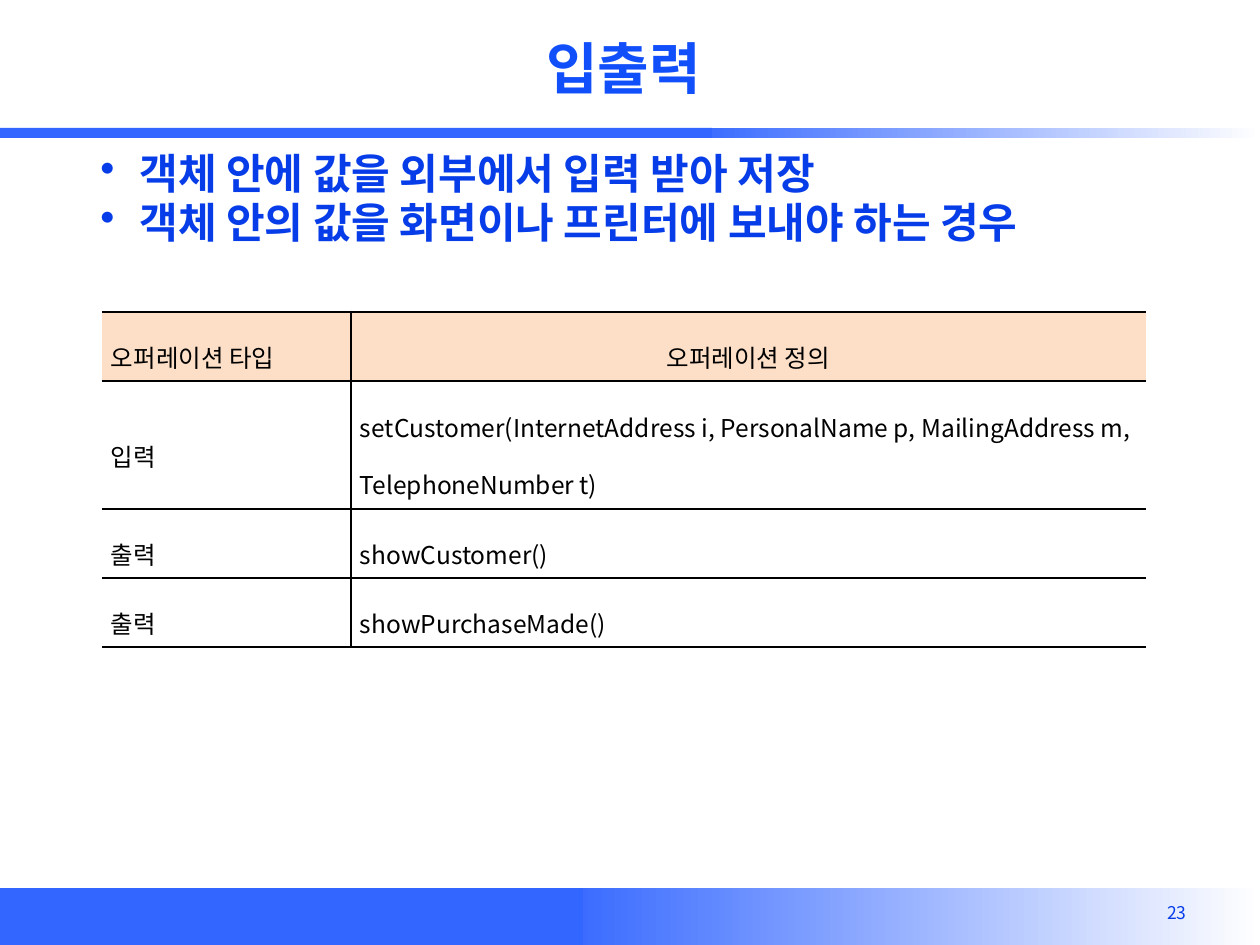
from lxml.etree import SubElement
from pptx import Presentation
from pptx.dml.color import RGBColor
from pptx.enum.shapes import MSO_SHAPE
from pptx.enum.text import MSO_ANCHOR, PP_ALIGN
from pptx.oxml.ns import qn
from pptx.util import Pt

PIXEL = 914400 / 126
FONT = "Noto Sans CJK KR"
BAR_BLUE, TEXT_BLUE = "3366FF", "063DE8"


def px(*lengths):
    """Turn pixel lengths into EMU."""
    return [round(length * PIXEL) for length in lengths]


def write(frame, lines, size, color, bold=False, align=PP_ALIGN.LEFT,
          anchor=MSO_ANCHOR.TOP, spacing=1.0, before=0, bullet=False):
    """Fill a text frame or cell frame with formatted paragraphs."""
    frame.vertical_anchor = anchor
    for index, line in enumerate(lines):
        para = frame.add_paragraph() if index else frame.paragraphs[0]
        para.alignment, para.line_spacing = align, spacing
        para.space_before = Pt(before)
        span = para.add_run()
        span.text = line
        span.font.size, span.font.bold, span.font.name = Pt(size), bold, FONT
        span.font.color.rgb = RGBColor.from_string(color)
        SubElement(span.font._element, qn("a:ea"), typeface=FONT)
        if bullet:
            indent = px(39)[0]
            properties = para._p.get_or_add_pPr()
            properties.set("marL", str(indent))
            properties.set("indent", str(-indent))
            SubElement(properties, qn("a:buChar"), char="•")


deck = Presentation()
deck.slide_width, deck.slide_height = px(1260, 945)
page = deck.slides.add_slide(deck.slide_layouts[6])

# Header and footer bars: a fading part under a solid part
for left, top, width, height, fades in [
    (552, 888, 708, 57, True),
    (0, 888, 583, 57, False),
    (683, 128, 577, 10, True),
    (0, 128, 712, 10, False),
]:
    bar = page.shapes.add_shape(MSO_SHAPE.RECTANGLE, *px(left, top, width, height))
    bar.shadow.inherit = False
    bar.line.fill.background()
    if fades:
        bar.fill.gradient()
        bar.fill.gradient_angle = 0
        for stop, color in zip(bar.fill.gradient_stops, (BAR_BLUE, "FFFFFF")):
            stop.color.rgb = RGBColor.from_string(color)
    else:
        bar.fill.solid()
        bar.fill.fore_color.rgb = RGBColor.from_string(BAR_BLUE)

# Page number, title and bullets
for place, lines, style in [
    ((1133, 896, 66, 34), ["23"],
     dict(size=10, color=TEXT_BLUE, align=PP_ALIGN.RIGHT)),
    ((88, 20, 1071, 95), ["입출력"],
     dict(size=32, color="114FFB", bold=True, align=PP_ALIGN.CENTER,
          anchor=MSO_ANCHOR.MIDDLE)),
    ((88, 147, 1077, 735),
     ["객체 안에 값을 외부에서 입력 받아 저장",
      "객체 안의 값을 화면이나 프린터에 보내야 하는 경우"],
     dict(size=24, color=TEXT_BLUE, bold=True, spacing=0.9, before=2, bullet=True)),
]:
    box = page.shapes.add_textbox(*px(*place))
    box.text_frame.word_wrap = True
    write(box.text_frame, lines, **style)

# Operation table
rows = [
    ("오퍼레이션 타입", "오퍼레이션 정의"),
    ("입력", "setCustomer(InternetAddress i, PersonalName p, "
             "MailingAddress m, TelephoneNumber t)"),
    ("출력", "showCustomer()"),
    ("출력", "showPurchaseMade()"),
]
row_heights, column_widths = (69, 128, 69, 69), (249, 795)
table = page.shapes.add_table(
    len(rows), 2, *px(102, 312, sum(column_widths), sum(row_heights))).table
table.first_row = table.horz_banding = False
for column, width in zip(table.columns, px(*column_widths)):
    column.width = width
for row, height in zip(table.rows, px(*row_heights)):
    row.height = height

for row_index, texts in enumerate(rows):
    header = row_index == 0
    for column_index, text in enumerate(texts):
        cell = table.cell(row_index, column_index)
        cell.margin_left = cell.margin_right = px(9)[0]
        cell.margin_top = cell.margin_bottom = px(3)[0]
        centred = header and column_index == 1
        write(cell.text_frame, [text], size=14, color="000000", spacing=1.6,
              align=PP_ALIGN.CENTER if centred else PP_ALIGN.LEFT)
        cell.vertical_anchor = MSO_ANCHOR.MIDDLE
        side = Pt(1.7 if header else 1.13)
        edges = {
            "lnL": side if column_index else 0,
            "lnR": 0 if column_index else side,
            "lnT": Pt(1.7 if row_index < 2 else 1.13),
            "lnB": side,
        }
        for edge, width in edges.items():
            line = SubElement(cell._tc.get_or_add_tcPr(), qn("a:" + edge), w=str(width))
            if width:
                fill = SubElement(line, qn("a:solidFill"))
                SubElement(fill, qn("a:srgbClr"), val="000000")
            else:
                SubElement(line, qn("a:noFill"))
        if header:
            cell.fill.solid()
            cell.fill.fore_color.rgb = RGBColor.from_string("FDDFC7")
        else:
            cell.fill.background()

deck.save("out.pptx")
